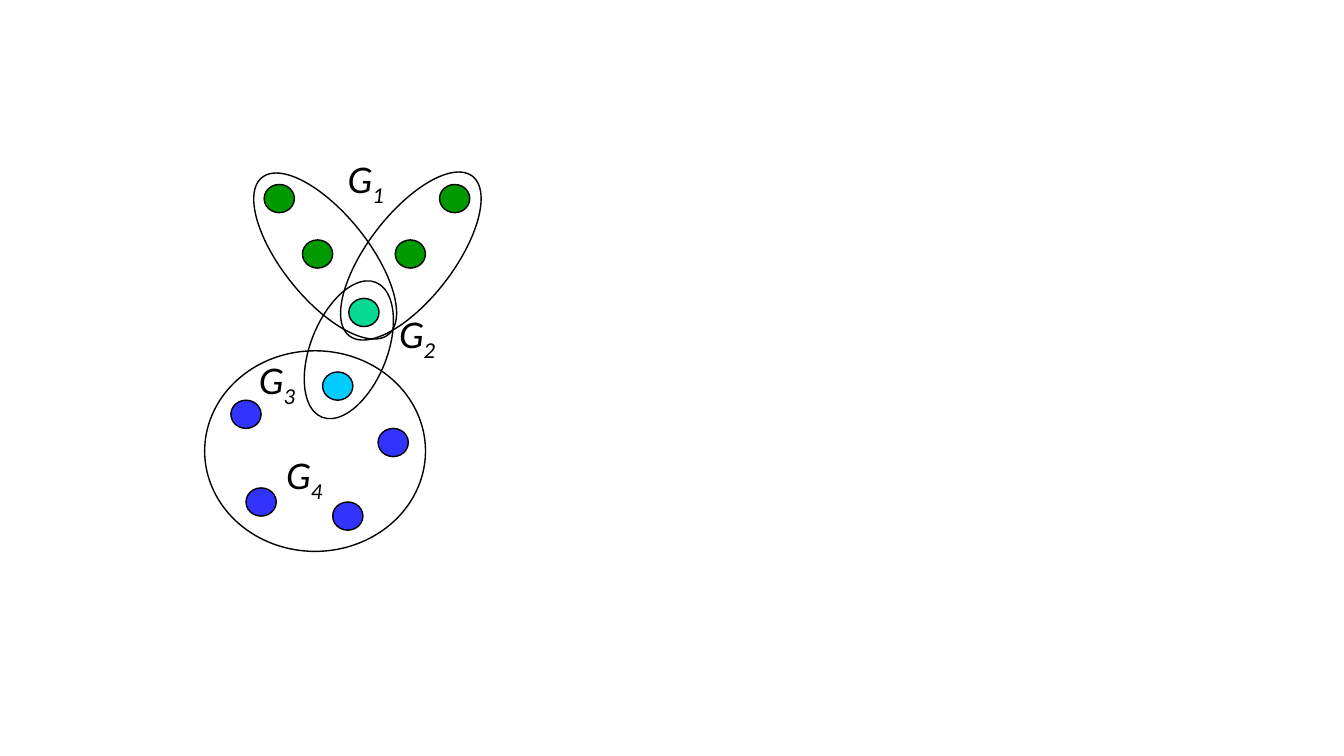
from pptx import Presentation
from pptx.dml.color import RGBColor
from pptx.enum import shapes, text
from pptx.util import Inches, Pt

# Content: left, top, width, height, rotation
back_groups = [
    (2.03, 3.48, 2.19, 1.99, 0),
    (3.08, 2.75, 0.76, 1.44, 21.7),
]
front_groups = [
    (3.65, 1.54, 0.85, 2, 37.6),
    (2.8, 1.54, 0.85, 2, 321.2),
]
# Nodes by colour: left, top
nodes = {
    "green": [(2.62, 1.83), (3, 2.38), (3.92, 2.38), (4.36, 1.83)],
    "teal": [(3.46, 2.96)],
    "cyan": [(3.2, 3.69)],
    "blue": [(2.29, 3.97), (3.75, 4.25), (2.44, 4.84), (3.3, 4.98)],
}
# Labels: letter, subscript, left, top
labels = [
    ("G", "4", 2.74, 4.42),
    ("G", "3", 2.47, 3.48),
    ("G", "2", 3.86, 3.02),
    ("G", "1", 3.35, 1.48),
]
NODE_SIZE = (0.3, 0.28)
LABEL_SIZE = (0.66, 0.6)

THEME = {
    "green": RGBColor.from_string("009900"),
    "teal": RGBColor.from_string("05D992"),
    "cyan": RGBColor.from_string("00CCFF"),
    "blue": RGBColor.from_string("3333FF"),
    "ink": RGBColor.from_string("000000"),
    "font": "Calibri",
    "label": Pt(28),
    "outline": Pt(1),
}

deck = Presentation()
deck.slide_width, deck.slide_height = Inches(13.33), Inches(7.5)
slide = deck.slides.add_slide(deck.slide_layouts[6])


def add_ellipse(left, top, width, height, rotation=0, fill=None):
    ellipse = slide.shapes.add_shape(
        shapes.MSO_SHAPE.OVAL, *map(Inches, (left, top, width, height)))
    ellipse.rotation = rotation
    ellipse.shadow.inherit = False
    ellipse.line.color.rgb = THEME["ink"]
    ellipse.line.width = THEME["outline"]
    if fill:
        ellipse.fill.solid()
        ellipse.fill.fore_color.rgb = THEME[fill]
    else:
        ellipse.fill.background()


def add_label(letter, subscript, left, top):
    label = slide.shapes.add_textbox(*map(Inches, (left, top, *LABEL_SIZE)))
    label.text_frame.word_wrap = False
    label.text_frame.vertical_anchor = text.MSO_ANCHOR.TOP
    paragraph = label.text_frame.paragraphs[0]
    paragraph.font.name = THEME["font"]
    paragraph.font.size = THEME["label"]
    paragraph.font.italic = True
    paragraph.font.color.rgb = THEME["ink"]
    paragraph.add_run().text = letter
    index = paragraph.add_run()
    index.text = subscript
    index._r.get_or_add_rPr().set("baseline", "-25000")


# Groups behind the nodes
for group in back_groups:
    add_ellipse(*group)

# Nodes
for colour, places in nodes.items():
    for left, top in places:
        add_ellipse(left, top, *NODE_SIZE, fill=colour)

# Groups in front of the nodes
for group in front_groups:
    add_ellipse(*group)

# Group labels
for label_entry in labels:
    add_label(*label_entry)

deck.save("out.pptx")
